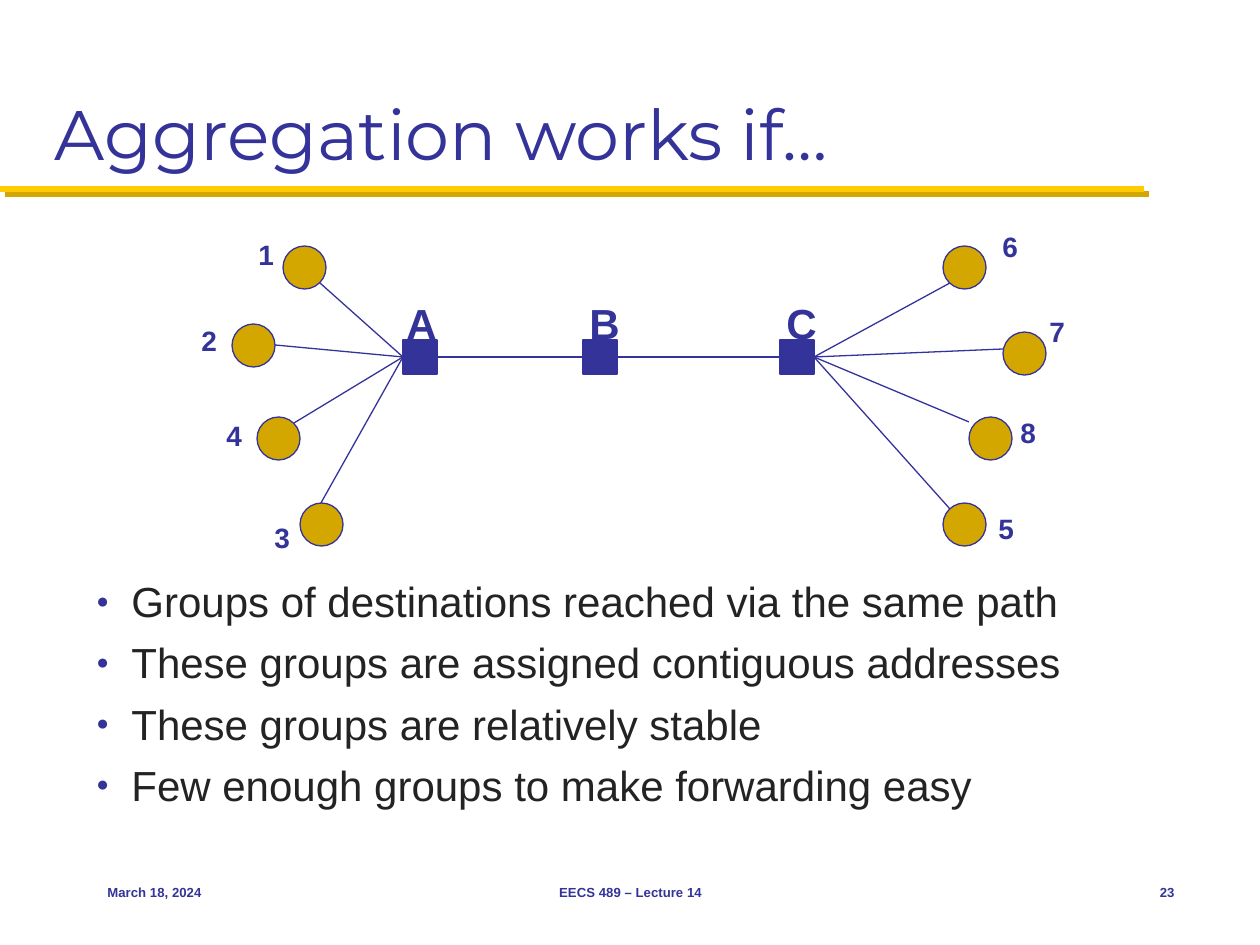
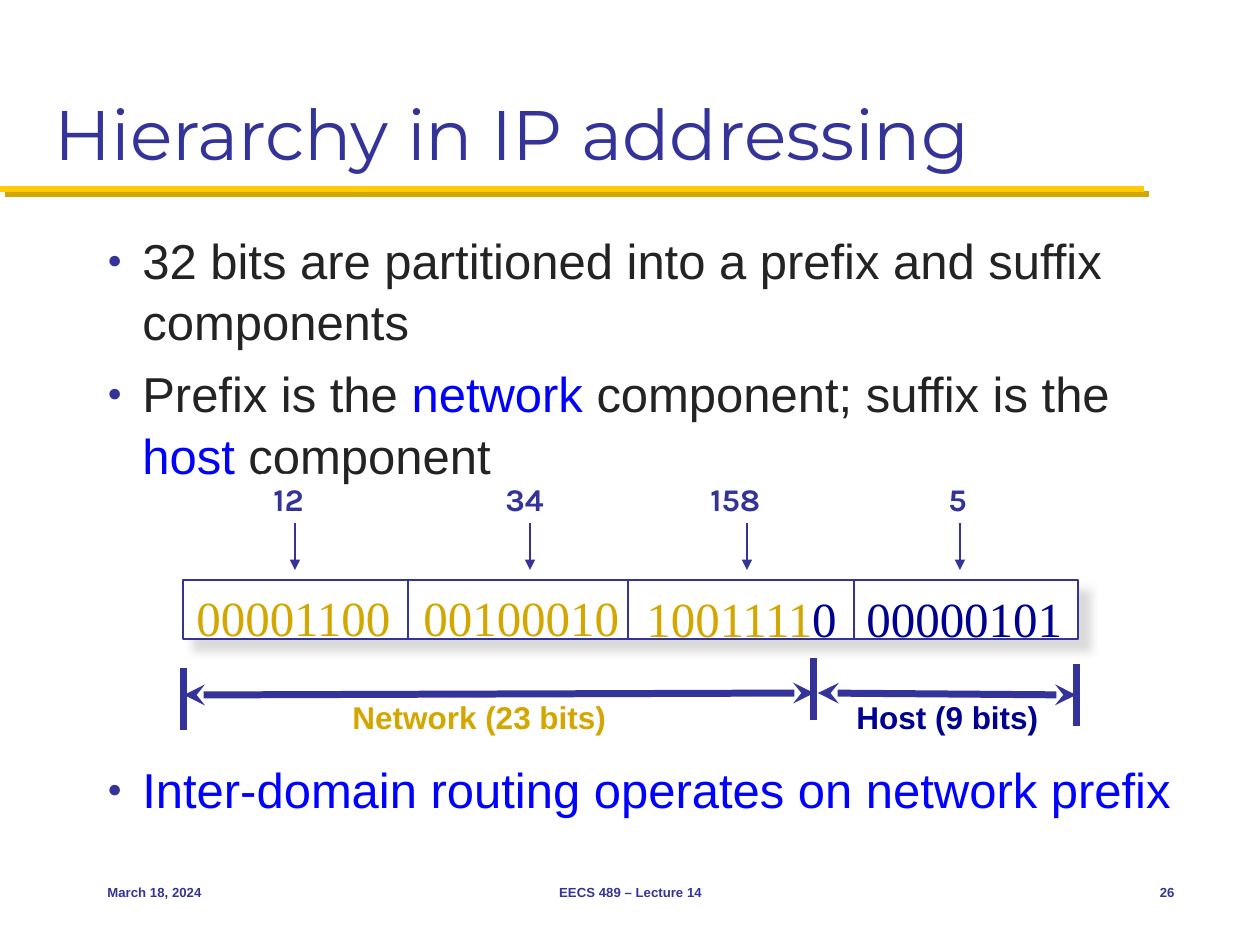
"""Build two lecture slides on address aggregation and IP hierarchy."""
import pptx
import pptx.dml.color
import pptx.enum.shapes
import pptx.enum.text
import pptx.oxml.ns
import pptx.util
from lxml import etree

PIXEL = 914400 / 126
NAVY, GOLD, YELLOW, INK = "333399", "D3A600", "FFCB05", "232323"
BLUE, DARK, WHITE, GREY = "0000FF", "000090", "FFFFFF", "CECECE"
SHAPES = pptx.enum.shapes.MSO_SHAPE
ALIGN = pptx.enum.text.PP_ALIGN
ANCHOR = pptx.enum.text.MSO_ANCHOR

TITLE_BOX = (42, 23, 1176, 158)
FOOTERS = [
    ((95, 861, 262, 63), "March 18, 2024", ALIGN.LEFT),
    ((431, 861, 399, 63), "EECS 489 – Lecture 14", ALIGN.CENTER),
]
NUMBER_BOX = (1103, 861, 84, 63)

CONDITIONS = [
    "Groups of destinations reached via the same path",
    "These groups are assigned contiguous addresses",
    "These groups are relatively stable",
    "Few enough groups to make forwarding easy",
]
ROUTER_SIZE, ROUTER_TOP, HOST_SIZE = 34, 340, 43
ROUTERS = [("A", 403, 394), ("B", 583, 577), ("C", 780, 774)]
HOSTS = [
    ("1", (283, 246), (320, 283), (246, 231), "A"),
    ("2", (232, 324), (275, 345), (189, 317), "A"),
    ("4", (257, 417), (294, 423), (214, 412), "A"),
    ("3", (300, 503), (321, 503), (262, 514), "A"),
    ("6", (943, 246), (950, 283), (990, 223), "C"),
    ("7", (1003, 332), (1003, 349), (1037, 308), "C"),
    ("8", (969, 417), (969, 422), (1008, 409), "C"),
    ("5", (943, 503), (950, 509), (986, 505), "C"),
]

HIERARCHY = [
    [("32 bits are partitioned into a prefix and suffix components", INK)],
    [("Prefix is the ", INK), ("network ", BLUE),
     ("component; suffix is the ", INK), ("host ", BLUE), ("component", INK)],
    [("Inter-domain routing operates on network prefix", BLUE)],
]
DIAGRAM_GAP = 156
ADDRESS_BOX = (183, 580, 895, 59)
DIVIDERS = [408, 628, 854]
OCTETS = [
    ("12", 261, 66, 295, (184, 581), [("00001100", GOLD)]),
    ("34", 493, 66, 530, (411, 581), [("00100010", GOLD)]),
    ("158", 698, 86, 747, (634, 582), [("1001111", GOLD), ("0", DARK)]),
    ("5", 936, 45, 960, (854, 582), [("00000101", DARK)]),
]
BOUNDARIES = [(184, 668), (814, 658), (1077, 664)]
BOUNDARY_HEIGHT = 62
SPANS = [
    ("Network (23 bits)", GOLD, (340, 692, 289, 50), (814, 693), (184, 695)),
    ("Host (9 bits)", DARK, (844, 692, 209, 50), (818, 693), (1076, 695)),
]


def px(length):
    return pptx.util.Emu(round(length * PIXEL))


def color(value):
    return pptx.dml.color.RGBColor.from_string(value)


def add_element(parent, tag, **attributes):
    element = etree.SubElement(parent, pptx.oxml.ns.qn(tag))
    for name, value in attributes.items():
        element.set(name, str(value))
    return element


def add_shadow(effects, value, opacity, blur, distance):
    shadow = add_element(effects, "a:outerShdw", blurRad=pptx.util.Pt(blur),
                         dist=pptx.util.Pt(distance), dir=45 * 60000,
                         algn="tl", rotWithShape=0)
    tint = add_element(shadow, "a:srgbClr", val=value)
    add_element(tint, "a:alpha", val=opacity * 1000)


def add_line(slide, start, end, width=0.75, stroke=NAVY, head=None, tail=None):
    line = slide.shapes.add_connector(
        pptx.enum.shapes.MSO_CONNECTOR.STRAIGHT, *map(px, start + end))
    line.line.width = pptx.util.Pt(width)
    line.line.color.rgb = color(stroke)
    outline = line.line._get_or_add_ln()
    for tag, kind in (("a:headEnd", head), ("a:tailEnd", tail)):
        if kind:
            add_element(outline, tag, type=kind)
    return add_element(line._element.spPr, "a:effectLst")


def add_shape(slide, kind, box, fill, width=0.75):
    shape = slide.shapes.add_shape(kind, *map(px, box))
    shape.shadow.inherit = False
    shape.fill.solid()
    shape.fill.fore_color.rgb = color(fill)
    shape.line.color.rgb = color(NAVY)
    shape.line.width = pptx.util.Pt(width)
    return shape


def add_runs(paragraph, runs, size, font="Arial", bold=False):
    for text, value in runs:
        run = paragraph.add_run()
        run.text = text
        run.font.size = pptx.util.Pt(size)
        run.font.name = font
        run.font.bold = bold
        run.font.color.rgb = color(value)


def add_text(slide, box, runs, size, font="Arial", bold=False,
             align=ALIGN.LEFT, anchor=ANCHOR.TOP, fill=None):
    text_box = slide.shapes.add_textbox(*map(px, box))
    if fill:
        text_box.fill.solid()
        text_box.fill.fore_color.rgb = color(fill)
    frame = text_box.text_frame
    frame.word_wrap = False
    frame.vertical_anchor = anchor
    paragraph = frame.paragraphs[0]
    paragraph.alignment = align
    add_runs(paragraph, runs, size, font, bold)


def add_bullets(slide, box, items, size):
    frame = slide.shapes.add_textbox(*map(px, box)).text_frame
    frame.word_wrap = True
    for index, runs in enumerate(items):
        paragraph = frame.add_paragraph() if index else frame.paragraphs[0]
        paragraph.line_spacing = 1.05
        paragraph.space_before = pptx.util.Pt(size * 0.2)
        properties = paragraph._p.get_or_add_pPr()
        properties.set("marL", str(px(35)))
        properties.set("indent", str(px(-35)))
        bullet_color = add_element(properties, "a:buClr")
        add_element(bullet_color, "a:srgbClr", val=NAVY)
        add_element(properties, "a:buSzPct", val=50000)
        add_element(properties, "a:buFont", typeface="Arial")
        add_element(properties, "a:buChar", char="●")
        add_runs(paragraph, runs, size)
    return frame


def add_slide(presentation, title, number):
    slide = presentation.slides.add_slide(presentation.slide_layouts[6])
    effects = add_line(slide, (0, 189), (1144, 189), 3.5, YELLOW)
    add_shadow(effects, GOLD, 100, 0, 4.2)
    add_text(slide, TITLE_BOX, [(title, NAVY)], 40, "Montserrat",
             anchor=ANCHOR.BOTTOM)
    for box, text, align in FOOTERS + [(NUMBER_BOX, number, ALIGN.RIGHT)]:
        add_text(slide, box, [(text, NAVY)], 7.5, bold=True, align=align,
                 anchor=ANCHOR.MIDDLE)
    return slide


def build_aggregation(presentation):
    slide = add_slide(presentation, "Aggregation works if…", "23")
    add_bullets(slide, (84, 567, 1092, 263),
                [[(text, INK)] for text in CONDITIONS], 24)
    middle = ROUTER_TOP + ROUTER_SIZE // 2
    ports = {"A": (ROUTERS[0][1], middle),
             "C": (ROUTERS[-1][1] + ROUTER_SIZE, middle)}
    for name, left, label_left in ROUTERS:
        add_shape(slide, SHAPES.RECTANGLE,
                  (left, ROUTER_TOP, ROUTER_SIZE, ROUTER_SIZE), NAVY)
        add_text(slide, (label_left, 291, 44, 52), [(name, NAVY)], 24, bold=True)
    for near, far in zip(ROUTERS, ROUTERS[1:]):
        add_line(slide, (near[1] + ROUTER_SIZE, middle), (far[1], middle))
    for name, corner, touch, label, router in HOSTS:
        add_shape(slide, SHAPES.OVAL, corner + (HOST_SIZE, HOST_SIZE), GOLD)
        add_line(slide, touch, ports[router])
        add_text(slide, label + (41, 46), [(name, NAVY)], 16, bold=True)


def build_hierarchy(presentation):
    slide = add_slide(presentation, "Hierarchy in IP addressing", "26")
    body = add_bullets(slide, (95, 221, 1124, 609), HIERARCHY, 28)
    body.paragraphs[-1].space_before = pptx.util.Pt(DIAGRAM_GAP)

    address = add_shape(slide, SHAPES.RECTANGLE, ADDRESS_BOX, WHITE, 1)
    effects = address._element.spPr.find(pptx.oxml.ns.qn("a:effectLst"))
    add_shadow(effects, GREY, 75, 5, 8.5)
    top, bottom = ADDRESS_BOX[1], ADDRESS_BOX[1] + ADDRESS_BOX[3]
    for left in DIVIDERS:
        add_line(slide, (left, top), (left, bottom), 1)
    for value, left, width, arrow, corner, bits in OCTETS:
        add_line(slide, (arrow, 483), (arrow, 570), tail="triangle")
        add_text(slide, (left, 474, width, 49), [(value, NAVY)], 18, "Karla",
                 bold=True, fill=WHITE)
        add_text(slide, corner + (222, 72), bits, 28, "Times New Roman")

    for left, start in BOUNDARIES:
        add_line(slide, (left, start), (left, start + BOUNDARY_HEIGHT), 4)
    for text, value, box, start, end in SPANS:
        add_line(slide, start, end, 4, head="stealth", tail="stealth")
        add_text(slide, box, [(text, value)], 18, bold=True)


def main():
    presentation = pptx.Presentation()
    presentation.slide_width, presentation.slide_height = px(1260), px(945)
    build_aggregation(presentation)
    build_hierarchy(presentation)
    presentation.save("out.pptx")


if __name__ == "__main__":
    main()
